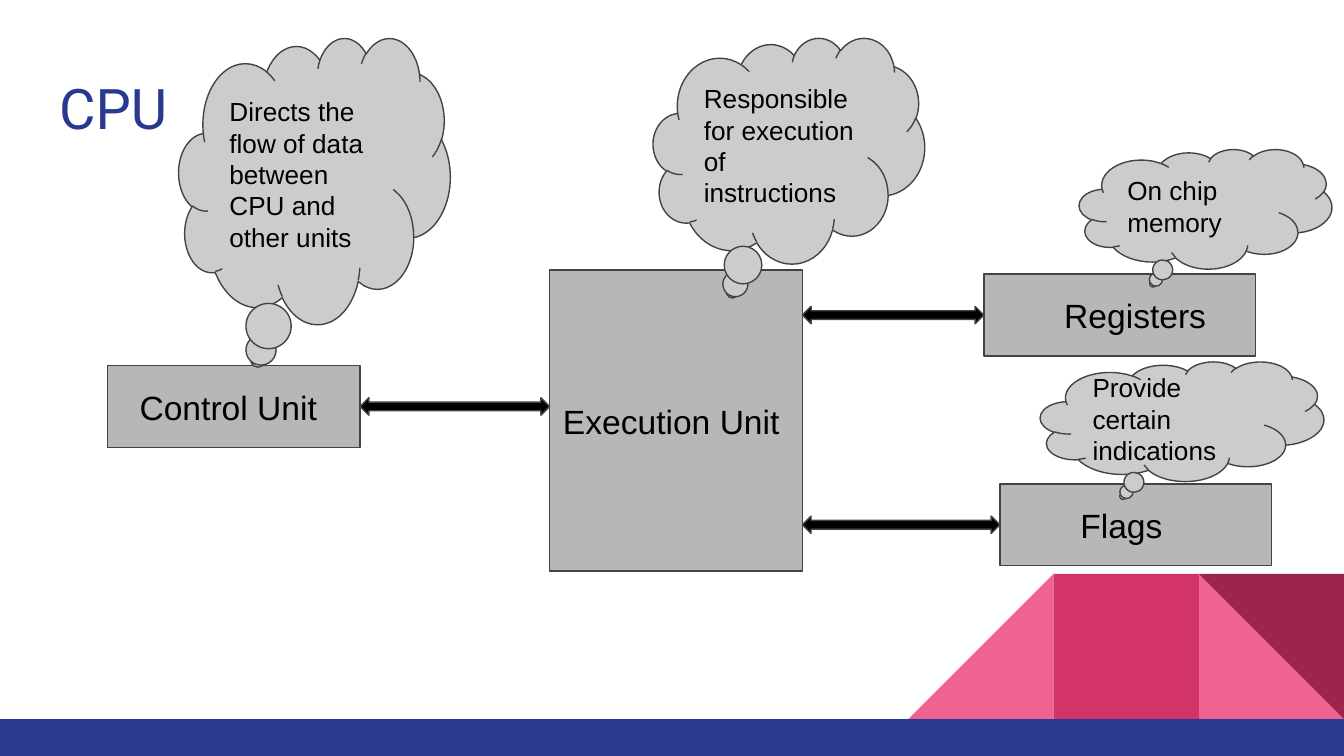
from pptx import Presentation
from pptx.dml.color import RGBColor
from pptx.enum.shapes import MSO_SHAPE
from pptx.enum.text import MSO_ANCHOR, MSO_AUTO_SIZE, PP_ALIGN
from pptx.util import Inches, Pt

RECT, TRI = MSO_SHAPE.RECTANGLE, MSO_SHAPE.RIGHT_TRIANGLE
ARROW, CLOUD = MSO_SHAPE.LEFT_RIGHT_ARROW, MSO_SHAPE.CLOUD_CALLOUT
LEFT, TOP, MIDDLE = PP_ALIGN.LEFT, MSO_ANCHOR.TOP, MSO_ANCHOR.MIDDLE
NO_FIT = MSO_AUTO_SIZE.NONE

COLORS = {"blue": "2A3990", "pink": "F06292", "rose": "D23369", "wine": "9C254D",
          "box": "B7B7B7", "cloud": "CCCCCC", "edge": "434343", "black": "000000"}

# Content: label, place (left, top, width, height), text indent
TITLE = "CPU"
UNITS = {
    "control": ("Control Unit", (0.8, 2.72, 1.88, 0.61), 0.14),
    "exec": ("Execution Unit", (4.09, 2.01, 1.88, 2.24), 0),
    "regs": ("Registers", (7.32, 2.04, 2.02, 0.61), 0.5),
    "flags": ("Flags", (7.44, 3.6, 2.02, 0.61), 0.5),
}
# Left unit, right unit, unit whose middle sets the height
LINKS = [("control", "exec", "control"), ("exec", "regs", "regs"),
         ("exec", "flags", "flags")]
NOTES = [
    ("Directs the flow of data between CPU and other units", (1.33, 0.28, 2.02, 2.13)),
    ("Responsible for execution of instructions", (4.86, 0.28, 2.02, 1.68)),
    ("On chip memory", (8.03, 1.11, 1.88, 0.89)),
    ("Provide certain indications", (7.74, 2.69, 2.11, 0.89)),
]
WIDE = 10
HIGH = WIDE * 9 / 16
BAND, TILE, THICK = 5.35, 1.08, 0.13

deck = Presentation()
deck.slide_width, deck.slide_height = Inches(WIDE), Inches(HIGH)
slide = deck.slides.add_slide(deck.slide_layouts[5])


def rgb(name):
    return RGBColor.from_string(COLORS[name])


def add_part(kind, place, fill, edge=None):
    part = slide.shapes.add_shape(kind, *map(Inches, place))
    part.shadow.inherit = False
    part.fill.solid()
    part.fill.fore_color.rgb = rgb(fill)
    if edge:
        part.line.color.rgb = rgb(edge)
        part.line.width = Pt(0.75)
    else:
        part.line.fill.background()
    return part


def add_text(part, text, size, font="Arial", color="black", anchor=MIDDLE, indent=0):
    frame = part.text_frame
    frame.word_wrap, frame.auto_size = True, NO_FIT
    frame.vertical_anchor = anchor
    frame.margin_left = frame.margin_right = Inches(0.1)
    frame.margin_top = frame.margin_bottom = Inches(0.1)
    para = frame.paragraphs[0]
    para.alignment = LEFT
    if indent:
        para._p.get_or_add_pPr().set("marL", str(Inches(indent)))
    run = para.add_run()
    run.text = text
    run.font.size, run.font.name = Pt(size), font
    run.font.color.rgb = rgb(color)


# Corner tiles, right-aligned above the bottom band
def add_tile(kind, step, fill):
    left = WIDE - step * TILE
    return add_part(kind, (left, BAND - TILE, TILE, TILE), fill)


add_tile(TRI, 1, "pink")
flip = add_tile(TRI, 3, "pink")
flip._element.spPr.get_or_add_xfrm().set("flipH", "1")
add_tile(RECT, 2, "rose")
add_tile(TRI, 1, "wine").rotation = 180
add_part(RECT, (0, BAND, WIDE, HIGH - BAND), "blue")

# Title
title = slide.shapes.title
title.left, title.top, title.width, title.height = map(Inches, (0.34, 0.45, 9.32, 0.66))
add_text(title, TITLE, 30, "Roboto", "blue", TOP)

# Units
for label, place, indent in UNITS.values():
    add_text(add_part(RECT, place, "box", "edge"), label, 18, indent=indent)

# Arrows span the gap between two units
for start, end, level in LINKS:
    left, _, width, _ = UNITS[start][1]
    right = UNITS[end][1][0]
    _, top, _, height = UNITS[level][1]
    begin = left + width
    add_part(ARROW, (begin, top + (height - THICK) / 2, right - begin, THICK),
             "black", "edge")

# Thought clouds
for text, place in NOTES:
    cloud = add_part(CLOUD, place, "cloud", "edge")
    cloud.adjustments[0], cloud.adjustments[1] = -0.208, 0.625
    add_text(cloud, text, 14)

deck.save("out.pptx")
